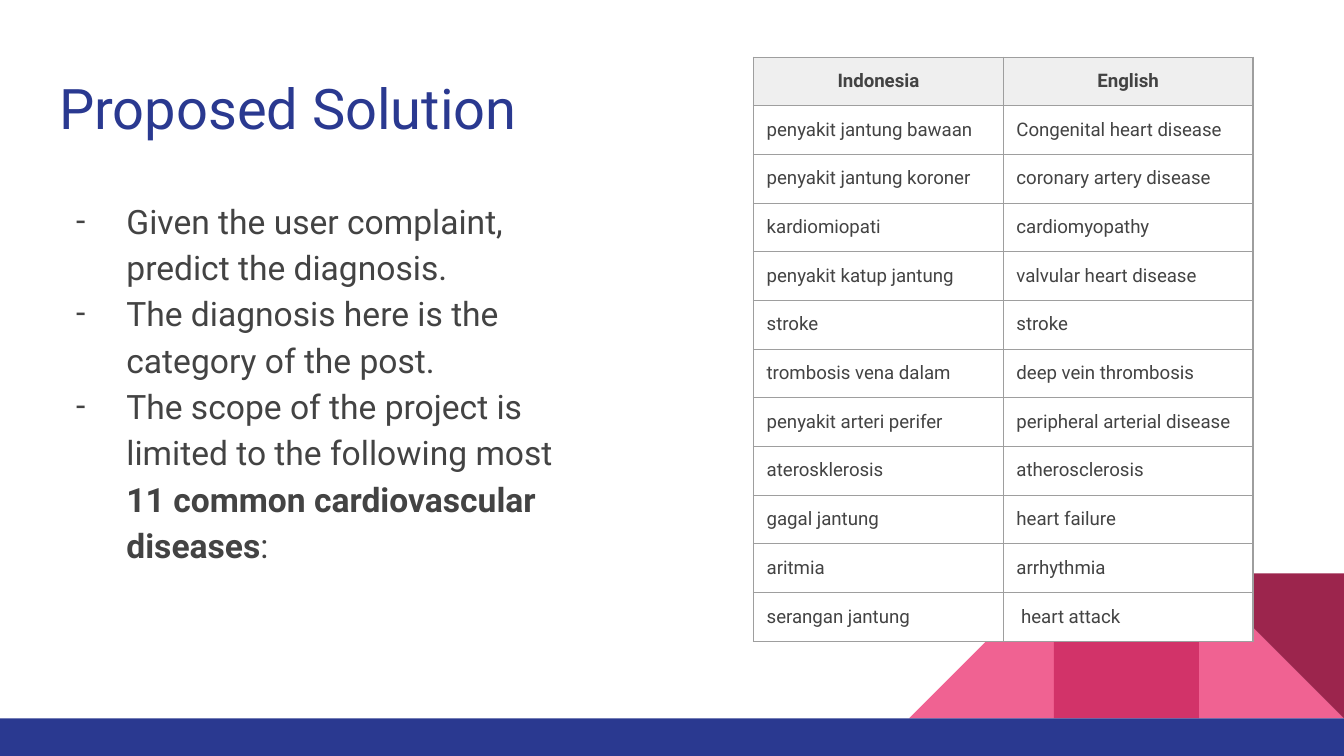
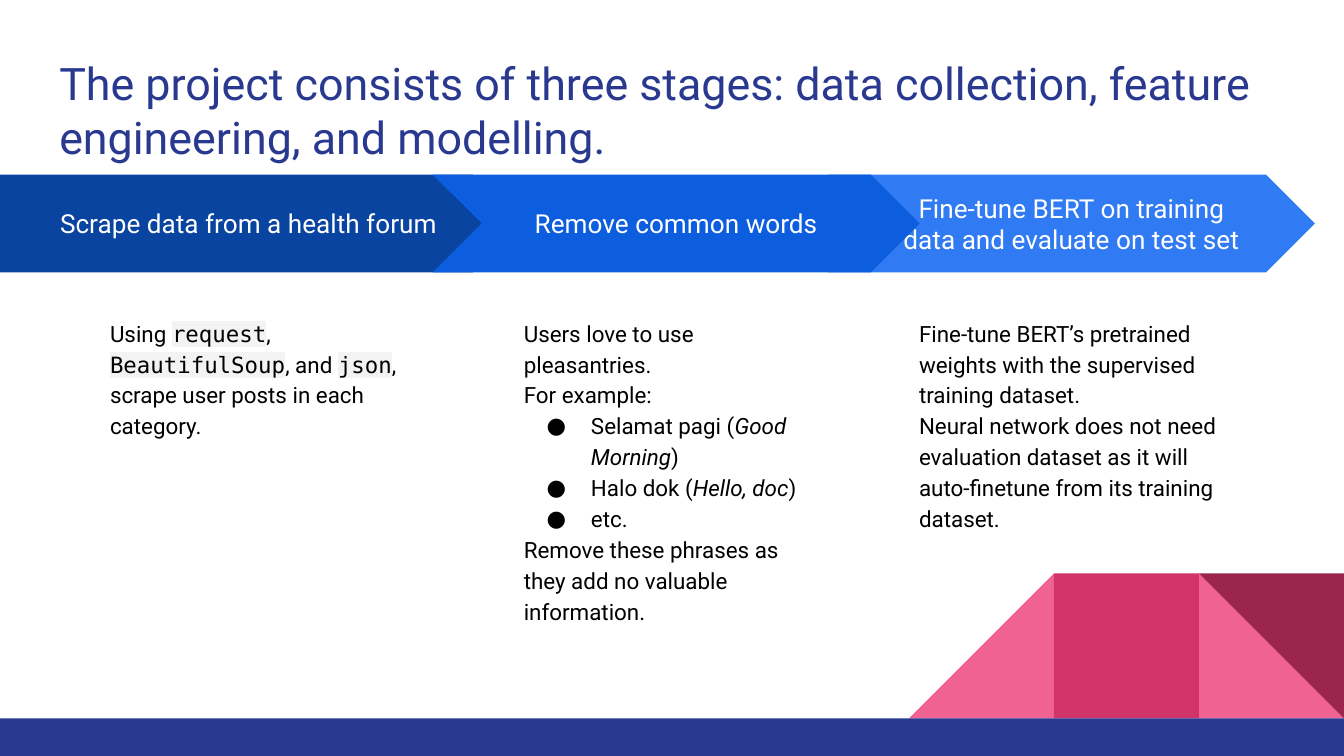
from pptx import Presentation
from pptx.dml.color import RGBColor
from pptx.enum.shapes import MSO_SHAPE
from pptx.enum.text import MSO_ANCHOR, MSO_AUTO_SIZE, PP_ALIGN
from pptx.oxml.ns import qn
from pptx.util import Cm, Pt
from lxml import etree

RECT, TRIANGLE = MSO_SHAPE.RECTANGLE, MSO_SHAPE.RIGHT_TRIANGLE
PENTAGON, CHEVRON = MSO_SHAPE.PENTAGON, MSO_SHAPE.CHEVRON
TOP, MIDDLE = MSO_ANCHOR.TOP, MSO_ANCHOR.MIDDLE
LEFT, CENTER = PP_ALIGN.LEFT, PP_ALIGN.CENTER
NO_FIT = MSO_AUTO_SIZE.NONE

# Shared look
FONT, CODE_FONT = "Roboto", "DejaVu Sans Mono"
NAVY, GREY, BLACK, WHITE = "2A3990", "434343", "000000", "FFFFFF"
PINK, ROSE, WINE = "F06292", "D23369", "9C254D"
HEAD_FILL, BORDER, CODE_FILL = "EFEFEF", "9E9E9E", "F3F3F3"
SLIDE_W, SLIDE_H = 25.4, 14.29
BAND_TOP, TILE = 13.58, 2.74
INSET = Cm(0.25)

DISEASES = [
    ("Indonesia", "English"),
    ("penyakit jantung bawaan", "Congenital heart disease"),
    ("penyakit jantung koroner", "coronary artery disease"),
    ("kardiomiopati", "cardiomyopathy"),
    ("penyakit katup jantung", "valvular heart disease"),
    ("stroke", "stroke"),
    ("trombosis vena dalam", "deep vein thrombosis"),
    ("penyakit arteri perifer", "peripheral arterial disease"),
    ("aterosklerosis", "atherosclerosis"),
    ("gagal jantung", "heart failure"),
    ("aritmia", "arrhythmia"),
    ("serangan jantung", " heart attack"),
]

# A paragraph is (bullet, runs); a run is (text, style)
GOALS = [
    ("-", [("Given the user complaint, predict the diagnosis.", "")]),
    ("-", [("The diagnosis here is the category of the post.", "")]),
    ("-", [("The scope of the project is limited to the following most ", ""),
           ("11 common cardiovascular diseases", "bold"), (":", "")]),
]
SCRAPING = [
    ("", [("Using ", ""), ("request", "code"), (", ", ""),
          ("BeautifulSoup", "code"), (", and ", ""), ("json", "code"),
          (", scrape user posts in each category.", "")]),
]
CLEANING = [
    ("", [("Users love to use pleasantries.", "")]),
    ("", [("For example:", "")]),
    ("●", [("Selamat pagi (", ""), ("Good Morning", "italic"), (")", "")]),
    ("●", [("Halo dok (", ""), ("Hello, doc", "italic"), (")", "")]),
    ("●", [("etc.", "")]),
    ("", [("Remove these phrases as they add no valuable information.", "")]),
]
TUNING = [
    ("", [("Fine-tune BERT’s pretrained weights with the supervised "
           "training dataset.", "")]),
    ("", [("Neural network does not need evaluation dataset as it will "
           "auto-finetune from its training dataset.", "")]),
]

# Outline, fill, left, width, heading, text left, text; later ones lie on top
STAGES = [
    (CHEVRON, "307BF3", 15.65, 9.2,
     "Fine-tune BERT on training data and evaluate on test set", 17.12, TUNING),
    (PENTAGON, "0944A1", 0, 9.86,
     "Scrape data from a health forum", 1.83, SCRAPING),
    (CHEVRON, "0D5DDF", 8.18, 9.2, "Remove common words", 9.65, CLEANING),
]


def rgb(color):
    return RGBColor.from_string(color)


def add_run(p, text, size, color, style=""):
    r = p.add_run()
    r.text = text
    f = r.font
    f.size, f.color.rgb = Pt(size), rgb(color)
    f.bold, f.italic = style == "bold", style == "italic"
    f.name = CODE_FONT if style == "code" else FONT
    if style == "code":
        highlight = etree.Element(qn("a:highlight"))
        etree.SubElement(highlight, qn("a:srgbClr"), val=CODE_FILL)
        r.font._element.find(qn("a:solidFill")).addnext(highlight)


def set_bullet(p, char, color, hang):
    pPr = p._p.get_or_add_pPr()
    pPr.set("marL", str(Cm(1.27)))
    pPr.set("indent", str(-Cm(hang)))
    bu_color = etree.SubElement(pPr, qn("a:buClr"))
    etree.SubElement(bu_color, qn("a:srgbClr"), val=color)
    etree.SubElement(pPr, qn("a:buFont"), typeface=FONT)
    etree.SubElement(pPr, qn("a:buChar"), char=char)


def set_frame(tf, anchor):
    tf.word_wrap, tf.auto_size, tf.vertical_anchor = True, NO_FIT, anchor
    tf.margin_left = tf.margin_right = INSET
    tf.margin_top = tf.margin_bottom = INSET


def add_shape(s, kind, x, y, w, h, fill, rotation=0):
    sp = s.shapes.add_shape(kind, Cm(x), Cm(y), Cm(w), Cm(h))
    sp.shadow.inherit = False
    sp.fill.solid()
    sp.fill.fore_color.rgb = rgb(fill)
    sp.line.fill.background()
    sp.rotation = rotation
    return sp


def add_text(s, x, y, w, h, paragraphs, size, color, hang):
    tf = s.shapes.add_textbox(Cm(x), Cm(y), Cm(w), Cm(h)).text_frame
    set_frame(tf, TOP)
    for i, (bullet, runs) in enumerate(paragraphs):
        p = tf.add_paragraph() if i else tf.paragraphs[0]
        if bullet:
            set_bullet(p, bullet, color, hang)
        p.line_spacing = 1.15
        for text, style in runs:
            add_run(p, text, size, color, style)


def add_decor(s):
    # Tiles in the corner, standing on the bottom band
    tiles = [(TRIANGLE, PINK, 1, 0), (TRIANGLE, PINK, 3, 270),
             (RECT, ROSE, 2, 0), (TRIANGLE, WINE, 1, 180)]
    for kind, fill, place, rotation in tiles:
        add_shape(s, kind, SLIDE_W - place * TILE, BAND_TOP - TILE,
                  TILE, TILE, fill, rotation)
    add_shape(s, RECT, 0, BAND_TOP, SLIDE_W, SLIDE_H - BAND_TOP, NAVY)


def add_slide(prs, title, top, size):
    s = prs.slides.add_slide(prs.slide_layouts[5])
    add_decor(s)
    sp = s.shapes.title
    sp.left, sp.top, sp.width, sp.height = Cm(0.87), Cm(top), Cm(23.67), Cm(1.68)
    set_frame(sp.text_frame, TOP)
    p = sp.text_frame.paragraphs[0]
    p.alignment = LEFT
    add_run(p, title, size, NAVY)
    return s


def set_borders(cell):
    tcPr = cell._tc.get_or_add_tcPr()
    for side in ("lnL", "lnR", "lnT", "lnB"):
        ln = etree.SubElement(tcPr, qn("a:" + side), w=str(Pt(0.75)))
        fill = etree.SubElement(ln, qn("a:solidFill"))
        etree.SubElement(fill, qn("a:srgbClr"), val=BORDER)


def add_table(s, rows, x, y, col_w, row_h):
    n_rows, n_cols = len(rows), len(rows[0])
    table = s.shapes.add_table(n_rows, n_cols, Cm(x), Cm(y),
                               Cm(col_w * n_cols), Cm(row_h * n_rows)).table
    table.first_row = table.horz_banding = False
    for col in table.columns:
        col.width = Cm(col_w)
    for i, texts in enumerate(rows):
        table.rows[i].height = Cm(row_h)
        for j, text in enumerate(texts):
            cell = table.cell(i, j)
            cell.margin_left = cell.margin_right = INSET
            cell.margin_top = cell.margin_bottom = INSET
            set_borders(cell)
            cell.fill.solid()
            cell.fill.fore_color.rgb = rgb(WHITE if i else HEAD_FILL)
            p = cell.text_frame.paragraphs[0]
            p.alignment = LEFT if i else CENTER
            add_run(p, text, 10, GREY, "" if i else "bold")


def add_stage(s, kind, fill, x, w, heading, text_x, paragraphs):
    sp = add_shape(s, kind, x, 3.3, w, 1.85, fill)
    sp.adjustments[0] = 0.5
    set_frame(sp.text_frame, MIDDLE)
    p = sp.text_frame.paragraphs[0]
    p.alignment = CENTER
    add_run(p, heading, 14, WHITE)
    add_text(s, text_x, 5.72, 6.22, 7.26, paragraphs, 12, BLACK, 0.84)


def main():
    prs = Presentation()
    prs.slide_width, prs.slide_height = Cm(SLIDE_W), Cm(SLIDE_H)

    # Goals and the list of diseases
    s = add_slide(prs, "Proposed Solution", 1.14, 30)
    add_text(s, 0.87, 3.43, 9.96, 9.27, GOALS, 18, GREY, 0.95)
    add_table(s, DISEASES, 14.24, 1.08, 4.72, 0.92)

    # Three stages
    s = add_slide(prs, "The project consists of three stages: data collection, "
                  "feature engineering, and modelling.", 0.81, 24)
    for stage in STAGES:
        add_stage(s, *stage)

    prs.save("out.pptx")


if __name__ == "__main__":
    main()
